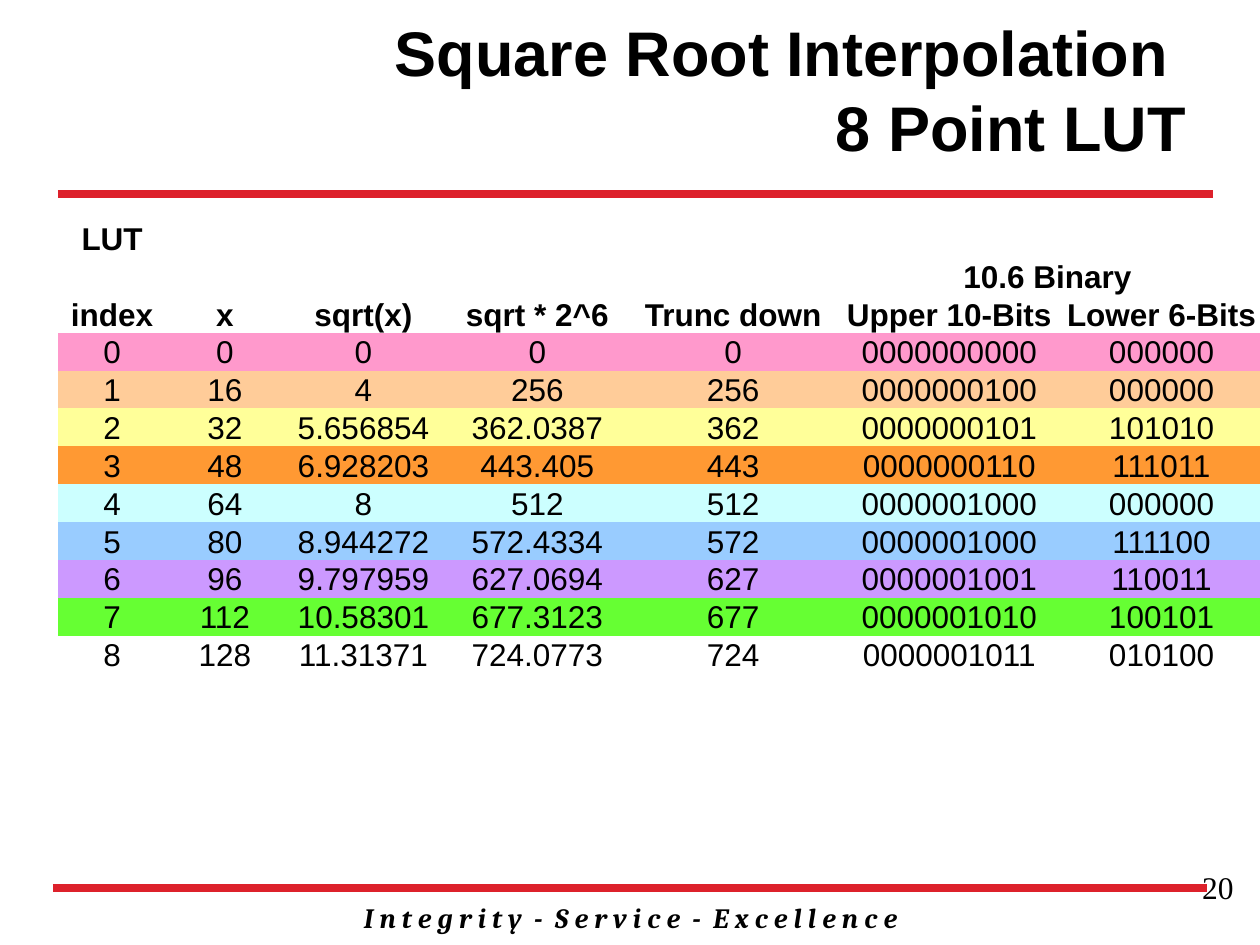
import math

import pptx
import pptx.util
import pptx.dml.color
import pptx.enum.shapes
import pptx.enum.text
import pptx.oxml.ns
from lxml import etree

Inches = pptx.util.Inches
Pt = pptx.util.Pt
ALIGN = pptx.enum.text.PP_ALIGN
ANCHOR = pptx.enum.text.MSO_ANCHOR
PLAIN = "{2D5ABB26-0587-4C30-8999-92F81FD0307C}"  # no style, no grid


def color(code):
    return pptx.dml.color.RGBColor.from_string(code)


class Page:
    ink = "000000"
    red = "DD212B"
    cell = {"name": "Arial", "size": Pt(18), "bold": False}
    head = {**cell, "bold": True}

    def __init__(self, slide):
        self.slide = slide

    def words(self, para, text, look, align):
        para.alignment = align
        run = para.add_run()
        run.text = text
        for key, val in look.items():
            setattr(run.font, key, val)
        run.font.color.rgb = color(self.ink)

    def text(self, box, lines, look, align, anchor=ANCHOR.TOP):
        frame = self.slide.shapes.add_textbox(*map(Inches, box)).text_frame
        frame.word_wrap = True
        frame.vertical_anchor = anchor
        para = frame.paragraphs[0]
        for num, line in enumerate(lines):
            if num:
                para.add_line_break()
            self.words(para, line, look, align)

    def rule(self, left, right, y):
        line = self.slide.shapes.add_connector(
            pptx.enum.shapes.MSO_CONNECTOR.STRAIGHT,
            Inches(left), Inches(y), Inches(right), Inches(y))
        line.line.color.rgb = color(self.red)
        line.line.width = Pt(4.5)
        etree.SubElement(line._element.spPr, pptx.oxml.ns.qn("a:effectLst"))

    def table(self, left, top, cols, tall, rows, fills, heads):
        frame = self.slide.shapes.add_table(
            len(rows), len(cols), Inches(left), Inches(top),
            Inches(sum(cols)), Inches(sum(tall)))
        grid = frame.table
        grid.first_row = grid.horz_banding = False
        grid._tbl.tblPr.find(pptx.oxml.ns.qn("a:tableStyleId")).text = PLAIN
        for col, wide in zip(grid.columns, cols):
            col.width = Inches(wide)
        for r, (row, high, fill) in enumerate(zip(rows, tall, fills)):
            grid.rows[r].height = Inches(high)
            look = self.head if r < heads else self.cell
            for c, text in enumerate(row):
                self.fill(grid.cell(r, c), text, fill, look)
        return grid

    def fill(self, cell, text, fill, look):
        pads = {"margin_left": Inches(0.01), "margin_right": Inches(0.01),
                "margin_top": 0, "margin_bottom": 0,
                "vertical_anchor": ANCHOR.BOTTOM}
        for key, val in pads.items():
            setattr(cell, key, val)
        if fill:
            cell.fill.solid()
            cell.fill.fore_color.rgb = color(fill)
        else:
            cell.fill.background()
        para = cell.text_frame.paragraphs[0]
        if text:
            self.words(para, text, look, ALIGN.CENTER)
        else:  # keep empty cells from stretching the row
            para._p.get_or_add_endParaRPr().set("sz", "1200")


def entry(index):
    """One line of the lookup table, in 10.6 fixed point."""
    x = 16 * index
    root = math.sqrt(x)
    fixed = int(root * 64)
    return [str(index), str(x), f"{root:.7g}", f"{root * 64:.7g}",
            str(fixed), f"{fixed >> 6:010b}", f"{fixed & 63:06b}"]


def main():
    deck = pptx.Presentation()
    deck.slide_width, deck.slide_height = Inches(10), Inches(7.5)
    page = Page(deck.slides.add_slide(deck.slide_layouts[6]))

    # Footer motto and red rules
    page.text((1.42, 7.1, 7.17, 0.37),
              ["I n t e g r i t y  -  S e r v i c e  -  E x c e l l e n c e"],
              {"name": "Cambria", "size": Pt(16), "bold": True, "italic": True},
              ALIGN.CENTER)
    page.rule(0.42, 9.58, 7.05)
    page.rule(0.46, 9.63, 1.54)

    # Title and page number
    page.text((2.09, 0.08, 7.42, 1.25),
              ["Square Root Interpolation ", "8 Point LUT"],
              {"name": "Arial", "size": Pt(36), "bold": True},
              ALIGN.RIGHT, ANCHOR.MIDDLE)
    page.text((7.56, 6.84, 2.33, 0.52), ["20"],
              {"name": "Times New Roman", "size": Pt(18)}, ALIGN.RIGHT)

    # Lookup table
    heads = [
        ["LUT"] + [""] * 6,
        [""] * 5 + ["10.6 Binary", ""],
        ["index", "x", "sqrt(x)", "sqrt * 2^6", "Trunc down",
         "Upper 10-Bits", "Lower 6-Bits"],
    ]
    hues = ["FF99CC", "FFCC99", "FFFF99", "FF9933",
            "CCFFFF", "99CCFF", "CC99FF", "66FF33"]
    rows = heads + [entry(i) for i in range(9)]
    grid = page.table(
        0.46, 1.6, [0.86, 0.93, 1.27, 1.49, 1.62, 1.81, 1.56],
        [0.44] + [0.29] * 11, rows, [None] * 3 + hues + [None], len(heads))
    grid.cell(1, 5).merge(grid.cell(1, 6))

    deck.save("out.pptx")


if __name__ == "__main__":
    main()
